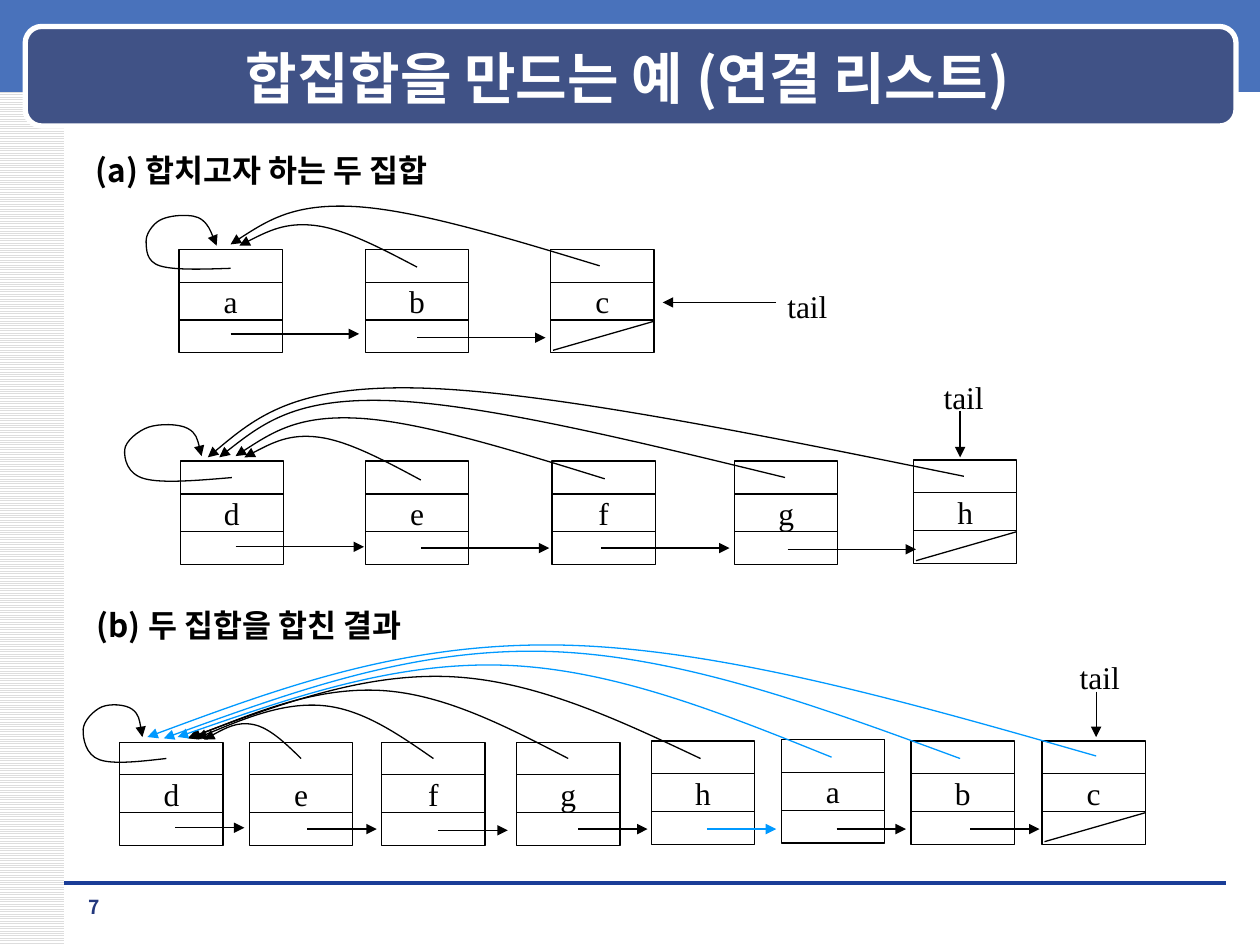
from dataclasses import dataclass
from typing import Optional

import lxml.etree
import pptx
import pptx.dml.color
import pptx.enum.dml
import pptx.enum.shapes
import pptx.enum.text
import pptx.oxml.ns
import pptx.util
from pptx.util import Inches

Point = tuple[float, float]

COLORS = {
    "ink": "000000", "merged": "0099FF", "white": "FFFFFF", "stripe": "DDDDDD",
    "band": "4972BB", "banner": "405286", "rule": "1A3D97", "number": "23387D",
}
KOREAN = "Noto Sans CJK KR"
LATIN = "Times New Roman"
NODE_SIZE = 0.82
FIELD_RULES = (0.26, 0.56)
ALIGN = pptx.enum.text.PP_ALIGN
ANCHOR = pptx.enum.text.MSO_ANCHOR
PRESET = pptx.enum.shapes.MSO_SHAPE


@dataclass
class Node:
    label: str
    left: float
    top: float
    link: Optional[Point]
    back: tuple[Point, ...]
    link_color: str = "ink"
    back_color: str = "ink"


@dataclass
class LinkedSet:
    link_length: float
    nodes: tuple[Node, ...]
    tail_label: Point
    tail_arrow: tuple[Point, Point]


SETS = (
    LinkedSet(1.02, (
        Node("a", 1.42, 1.98, (1.83, 2.65),
             ((1.83, 2.13), (1.27, 2.11), (1.16, 1.92), (1.25, 1.76),
              (1.44, 1.71), (1.61, 1.75), (1.72, 1.95))),
        Node("b", 2.9, 1.98, (3.31, 2.68), ((3.31, 2.12), (2.5, 1.79), (1.9, 1.95))),
        Node("c", 4.37, 1.98, None, ((4.76, 2.11), (2.82, 1.64), (1.83, 1.94))),
    ), (6.15, 2.23), ((6.16, 2.4), (5.26, 2.4))),
    LinkedSet(1.02, (
        Node("d", 1.43, 3.66, (1.87, 4.34),
             ((1.84, 3.79), (1.15, 3.8), (0.99, 3.57), (1.18, 3.39),
              (1.49, 3.4), (1.6, 3.62))),
        Node("e", 2.9, 3.66, (3.34, 4.35), ((3.34, 3.81), (2.53, 3.47), (1.94, 3.63))),
        Node("f", 4.38, 3.66, (4.77, 4.35), ((4.8, 3.8), (2.86, 3.32), (1.87, 3.62))),
        Node("g", 5.83, 3.66, (6.25, 4.36), ((6.23, 3.79), (3.09, 3.18), (1.74, 3.63))),
        Node("h", 7.25, 3.65, None, ((7.65, 3.78), (3.33, 3.08), (1.65, 3.63))),
    ), (7.39, 2.95), ((7.62, 3.26), (7.62, 3.63))),
    LinkedSet(0.55, (
        Node("d", 0.95, 5.89, (1.39, 6.57),
             ((1.32, 6.02), (0.79, 6.03), (0.66, 5.79), (0.81, 5.61),
              (1.05, 5.63), (1.13, 5.85))),
        Node("e", 1.98, 5.89, (2.44, 6.58), ((2.39, 6.02), (2.01, 5.75), (1.62, 5.87))),
        Node("f", 3.03, 5.89, (3.48, 6.59), ((3.44, 6.02), (2.56, 5.6), (1.56, 5.86))),
        Node("g", 4.1, 5.89, (4.59, 6.58), ((4.51, 6.02), (3.02, 5.48), (1.51, 5.86))),
        Node("h", 5.17, 5.88, (5.61, 6.58), ((5.56, 6.02), (3.56, 5.37), (1.49, 5.86)),
             link_color="merged"),
        Node("a", 6.2, 5.87, (6.64, 6.58), ((6.6, 6.01), (3.99, 5.28), (1.41, 5.85)),
             back_color="merged"),
        Node("b", 7.23, 5.88, (7.7, 6.58), ((7.62, 6.02), (4.33, 5.17), (1.3, 5.86)),
             back_color="merged"),
        Node("c", 8.27, 5.88, None, ((8.7, 6), (4.46, 5.12), (1.17, 5.85)),
             back_color="merged"),
    ), (8.47, 5.17), ((8.7, 5.49), (8.7, 5.85))),
)


def rgb(color: str) -> pptx.dml.color.RGBColor:
    return pptx.dml.color.RGBColor.from_string(COLORS[color])


def write(holder, text: str, size: float, font: str = LATIN, color: str = "ink",
          bold: bool = False, align=ALIGN.LEFT, anchor=ANCHOR.TOP, wrap: bool = True) -> None:
    frame = holder.text_frame
    frame.text = text
    frame.word_wrap = wrap
    frame.vertical_anchor = anchor
    frame.auto_size = pptx.enum.text.MSO_AUTO_SIZE.NONE
    frame.paragraphs[0].alignment = align
    for run in frame.paragraphs[0].runs:
        run.font.size = pptx.util.Pt(size)
        run.font.name = font
        run.font.bold = bold
        run.font.color.rgb = rgb(color)
        east_asian = lxml.etree.SubElement(run.font._element, pptx.oxml.ns.qn("a:ea"))
        east_asian.set("typeface", font)


def add_label(slide, left: float, top: float, width: float, height: float,
              text: str, size: float, **style) -> None:
    label = slide.shapes.add_textbox(Inches(left), Inches(top), Inches(width), Inches(height))
    write(label, text, size, **style)


def add_panel(slide, preset, left: float, top: float, width: float, height: float,
              color: Optional[str] = None):
    panel = slide.shapes.add_shape(
        preset, Inches(left), Inches(top), Inches(width), Inches(height))
    panel.shadow.inherit = False
    panel.line.fill.background()
    if color:
        panel.fill.solid()
        panel.fill.fore_color.rgb = rgb(color)
    else:
        panel.fill.background()
    return panel


def stroke(outline, color: str = "ink", width: float = 0.75, arrow: bool = False) -> None:
    outline.line.color.rgb = rgb(color)
    outline.line.width = pptx.util.Pt(width)
    if arrow:
        tip = lxml.etree.SubElement(outline.line._get_or_add_ln(), pptx.oxml.ns.qn("a:tailEnd"))
        tip.set("type", "triangle")


def add_line(slide, start: Point, end: Point, color: str = "ink",
             width: float = 0.75, arrow: bool = False) -> None:
    line = slide.shapes.add_connector(
        pptx.enum.shapes.MSO_CONNECTOR.STRAIGHT, *(Inches(v) for v in (*start, *end)))
    stroke(line, color, width, arrow)
    lxml.etree.SubElement(line._element.spPr, pptx.oxml.ns.qn("a:effectLst"))


def bezier_axis(values: tuple[float, ...]) -> list[float]:
    slopes = [(after - before) / 6 for before, after in zip(values, values[2:])]
    first = (values[1] - slopes[0] - values[0]) / 2
    last = (values[-1] - values[-2] - slopes[-1]) / 2
    slopes = [first, *slopes, last]
    controls = [values[0]]
    for i, (start, end) in enumerate(zip(values, values[1:])):
        controls += [start + slopes[i], end - slopes[i + 1], end]
    return controls


def add_curve(slide, anchors: tuple[Point, ...], color: str) -> None:
    xs, ys = (bezier_axis(axis) for axis in zip(*anchors))
    points = [(Inches(x), Inches(y)) for x, y in zip(xs, ys)]
    builder = slide.shapes.build_freeform(*points[0])
    builder.add_line_segments(points[1:], close=False)
    curve = builder.convert_to_shape()
    segments = list(curve._element.iter(pptx.oxml.ns.qn("a:lnTo")))
    outline = segments[0].getparent()
    for i in range(0, len(segments), 3):
        bezier = lxml.etree.SubElement(outline, pptx.oxml.ns.qn("a:cubicBezTo"))
        for segment in segments[i:i + 3]:
            bezier.append(segment[0])
            outline.remove(segment)
    curve.shadow.inherit = False
    curve.fill.background()
    stroke(curve, color, arrow=True)


def add_node(slide, node: Node, link_length: float) -> None:
    box = add_panel(slide, PRESET.RECTANGLE, node.left, node.top, NODE_SIZE, NODE_SIZE)
    stroke(box)
    write(box, node.label, 18, align=ALIGN.CENTER, anchor=ANCHOR.MIDDLE, wrap=False)
    right = node.left + NODE_SIZE
    for offset in FIELD_RULES:
        add_line(slide, (node.left, node.top + offset), (right, node.top + offset))
    if node.link:
        x, y = node.link
        add_line(slide, (x, y), (x + link_length, y), node.link_color, arrow=True)
    else:
        add_line(slide, (right, node.top + 0.57), (node.left + 0.02, node.top + 0.8))
    add_curve(slide, node.back, node.back_color)


def add_linked_set(slide, linked_set: LinkedSet) -> None:
    for node in linked_set.nodes:
        add_node(slide, node, linked_set.link_length)
    add_label(slide, *linked_set.tail_label, 0.52, 0.4, "tail", 18, wrap=False)
    add_line(slide, *linked_set.tail_arrow, arrow=True)


def add_frame(slide) -> None:
    margin = add_panel(slide, PRESET.RECTANGLE, 0, 0, 0.51, 7.5)
    margin.fill.patterned()
    margin.fill.pattern = pptx.enum.dml.MSO_PATTERN.LIGHT_HORIZONTAL
    margin.fill.fore_color.rgb = rgb("stripe")
    margin.fill.back_color.rgb = rgb("white")
    add_panel(slide, PRESET.RECTANGLE, 0, -0.03, 10, 0.76, "band")
    add_line(slide, (0.51, 7.01), (9.73, 7.01), "rule", 0)
    stroke(add_panel(slide, PRESET.ROUNDED_RECTANGLE, 0.2, 0.21, 9.61, 0.79, "banner"), "white", 3)
    title = slide.shapes.title
    title.left, title.top = Inches(0.71), Inches(0.3)
    title.width, title.height = Inches(8.54), Inches(0.62)
    write(title, "합집합을 만드는 예 (연결 리스트)", 32, font=KOREAN, color="white", bold=True,
          align=ALIGN.CENTER, anchor=ANCHOR.MIDDLE)
    slide.shapes._spTree.append(title._element)
    add_label(slide, 0.51, 7.06, 0.47, 0.27, "7", 11, font=KOREAN, color="number",
              bold=True, align=ALIGN.CENTER)


def main() -> None:
    deck = pptx.Presentation()
    deck.slide_width, deck.slide_height = Inches(10), Inches(7.5)
    slide = deck.slides.add_slide(deck.slide_layouts[5])
    add_frame(slide)
    for linked_set in SETS:
        add_linked_set(slide, linked_set)
    add_label(slide, 0.66, 1.15, 3.71, 0.4, "(a) 합치고자 하는 두 집합", 18, font=KOREAN, bold=True)
    add_label(slide, 0.67, 4.76, 2.95, 0.4, "(b) 두 집합을 합친 결과", 18, font=KOREAN, bold=True)
    deck.save("out.pptx")


if __name__ == "__main__":
    main()
